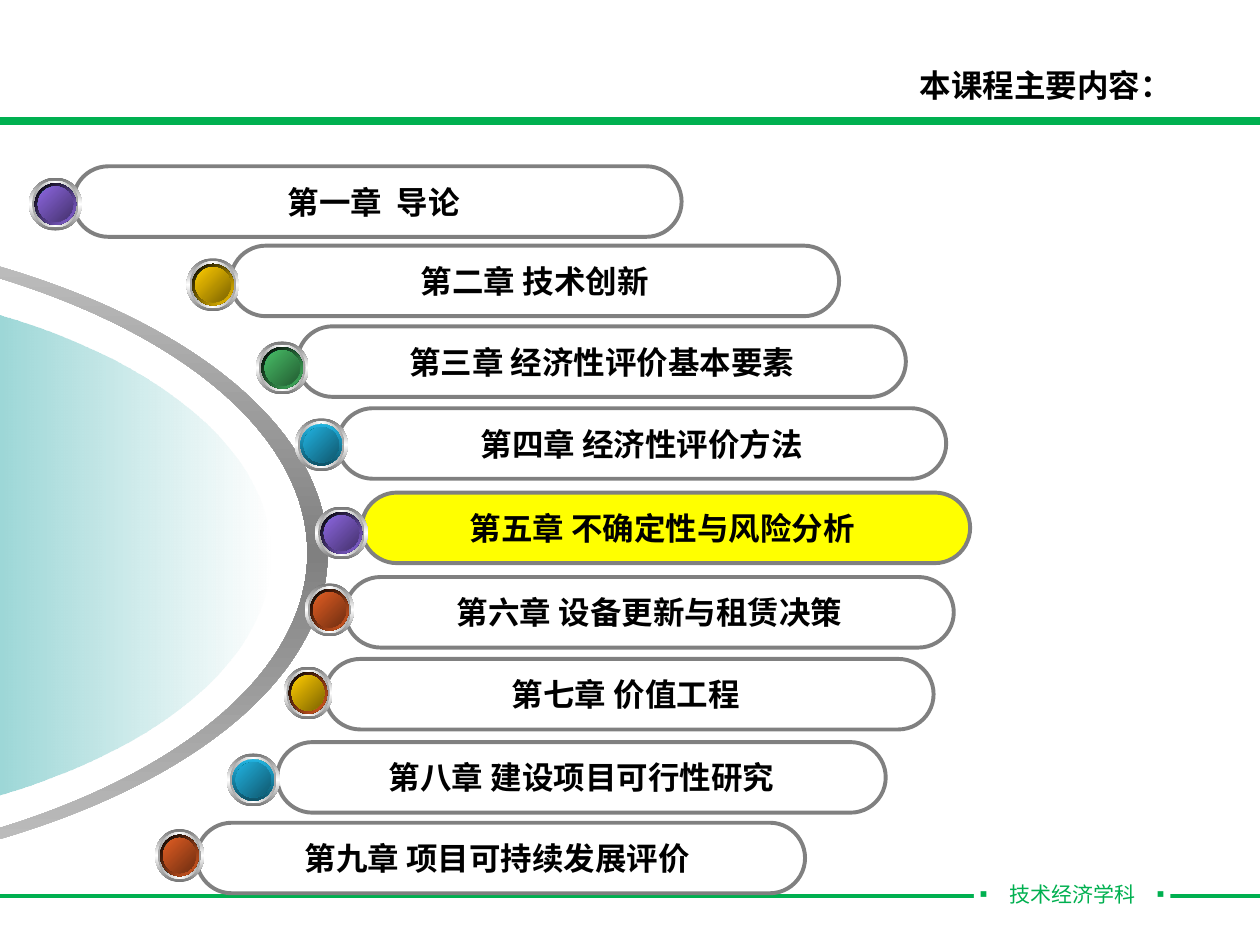
from lxml.etree import SubElement
from pptx import Presentation
from pptx.dml.color import RGBColor
from pptx.enum.shapes import MSO_CONNECTOR, MSO_SHAPE
from pptx.enum.text import MSO_ANCHOR, PP_ALIGN
from pptx.oxml.ns import qn
from pptx.util import Inches, Pt

GREEN, GRAY, BLACK, WHITE = "00B050", "808080", "000000", "FFFFFF"
SANS, SANS_JP, LATIN = "Noto Sans CJK SC", "Noto Sans CJK JP", "Arial"
PILL_WIDTH, PILL_HEIGHT = 4.83, 0.56
BEAD_HEIGHT = 0.42

# name: (rim gradient, rim angle, core gradient)
BEADS = {
    "purple": ((BLACK, "8D67E1"), 45, ("8D67E1", "45326D")),
    "yellow": ((BLACK, "FFCC00"), 45, ("FFCC00", "7C6300")),
    "green": ((BLACK, "48BE67"), 45, ("48BE67", "235C32")),
    "blue": (("21B3E1", "0F5368"), 90, ("21B3E1", "10576D")),
    "orange": ((BLACK, "E35E23"), 45, ("E35E23", "6E2E11")),
    "amber": ((BLACK, "E35E23"), 45, ("FFCC00", "7C6300")),
}

# text runs, pill left and top, bead left, top and width, bead name
CHAPTERS = [
    (["第一章  导论 "], 0.58, 1.32, 0.23, 1.41, 0.42, "purple"),
    (["第二章 技术创新"], 1.83, 1.95, 1.48, 2.05, 0.42, "yellow"),
    (["第三章 ", "经济性评价基本要素"], 2.36, 2.59, 2.03, 2.71, 0.42, "green"),
    (["第四章 ", "经济性评价方法"], 2.68, 3.24, 2.34, 3.32, 0.42, "blue"),
    (["第五章 ", "不确定性与风险分析 "], 2.87, 3.91, 2.5, 4.02, 0.42, "purple"),
    (["第六章 ", "设备更新与租赁决策"], 2.74, 4.58, 2.42, 4.63, 0.39, "orange"),
    (["第七章 价值工程 "], 2.58, 5.23, 2.25, 5.29, 0.39, "amber"),
    (["第八章 建设项目可行性研究"], 2.2, 5.89, 1.8, 5.98, 0.42, "blue"),
    (["第九章 项目可持续发展评价 "], 1.56, 6.53, 1.23, 6.58, 0.39, "orange"),
]
CURRENT_CHAPTER = "第五章 "


def color(value):
    return RGBColor.from_string(value)


def set_gradient(shape, colors, angle, opacities=None):
    """Fill with evenly spaced stops; the angle turns clockwise."""
    shape.fill.gradient()
    gradient = shape.element.spPr.find(qn("a:gradFill"))
    gradient.find(qn("a:lin")).set("ang", str(angle * 60000))
    stops = gradient.find(qn("a:gsLst"))
    stops.clear()
    for index, value in enumerate(colors):
        position = index * 100000 // (len(colors) - 1)
        stop = SubElement(stops, qn("a:gs"), pos=str(position))
        stop_color = SubElement(stop, qn("a:srgbClr"), val=value)
        if opacities:
            SubElement(stop_color, qn("a:alpha"), val=str(opacities[index] * 1000))


def set_font(run, size, font_name, value, bold=False):
    font = run.font
    font.size, font.name, font.bold = Pt(size), font_name, bold
    font.color.rgb = color(value)
    east_asian = SANS if font_name == LATIN else font_name
    SubElement(run._r.get_or_add_rPr(), qn("a:ea"), typeface=east_asian)


def add_shape(shapes, kind, left, top, width, height):
    shape = shapes.add_shape(kind, Inches(left), Inches(top), Inches(width), Inches(height))
    shape.shadow.inherit = False
    shape.fill.background()
    shape.line.fill.background()
    return shape


def add_title(slide, left, top, width, height):
    title = slide.shapes.title
    title.left, title.top = Inches(left), Inches(top)
    title.width, title.height = Inches(width), Inches(height)
    text_frame = title.text_frame
    text_frame.text = "本课程主要内容："
    text_frame.word_wrap = False
    text_frame.vertical_anchor = MSO_ANCHOR.MIDDLE
    paragraph = text_frame.paragraphs[0]
    paragraph.alignment = PP_ALIGN.LEFT
    set_font(paragraph.runs[0], 18, SANS_JP, BLACK, bold=True)


def add_frame(slide, width, bar_top, rule_top):
    """Green bar under the title and green rule with the department name."""
    bar = add_shape(slide.shapes, MSO_SHAPE.RECTANGLE, 0, bar_top, width, 0.04)
    bar.fill.solid()
    bar.fill.fore_color.rgb = color(GREEN)
    rule = slide.shapes.add_connector(
        MSO_CONNECTOR.STRAIGHT, 0, Inches(rule_top), Inches(width), Inches(rule_top))
    SubElement(rule.element.spPr, qn("a:effectLst"))
    for shape in (bar, rule):
        shape.line.color.rgb = color(GREEN)
        shape.line.width = Pt(2)

    label = add_shape(slide.shapes, MSO_SHAPE.RECTANGLE, 7.73, rule_top - 0.16, 1.56, 0.39)
    label.fill.solid()
    label.fill.fore_color.rgb = color(WHITE)
    text_frame = label.text_frame
    text_frame.margin_left = text_frame.margin_right = 0
    text_frame.word_wrap = False
    text_frame.vertical_anchor = MSO_ANCHOR.TOP
    paragraph = text_frame.paragraphs[0]
    paragraph.alignment = PP_ALIGN.LEFT
    tabs = SubElement(paragraph._p.get_or_add_pPr(), qn("a:tabLst"))
    for position in (0.28, 1.4):
        SubElement(tabs, qn("a:tab"), pos=str(Inches(position)), algn="l")
    for text, font_name in (("▪", LATIN), ("\t技术经济学科\t", SANS), ("▪", LATIN)):
        run = paragraph.add_run()
        run.text = text
        set_font(run, 12, font_name, GREEN)


def add_curved_outline(slide, points, straight=()):
    """Close an outline of Bezier curves; straight lists the points reached by a line."""
    corners = [(Inches(x), Inches(y)) for x, y in points]
    builder = slide.shapes.build_freeform(*corners[0])
    builder.add_line_segments(corners[1:], close=True)
    shape = builder.convert_to_shape()
    shape.shadow.inherit = False
    shape.line.fill.background()

    outline = next(shape.element.iter(qn("a:path" )))
    lines = outline.findall(qn("a:lnTo"))[:len(points) - 1]
    curved = [line for index, line in enumerate(lines, 1) if index not in straight]
    for start in range(0, len(curved), 3):
        controls = curved[start:start + 3]
        bezier = SubElement(outline, qn("a:cubicBezTo"))
        controls[0].addprevious(bezier)
        for line in controls:
            bezier.append(line[0])
            outline.remove(line)
    return shape


def add_dome(slide, left, middle):
    """Gray arc with a translucent teal half oval inside it."""
    arc = add_curved_outline(slide, [
        (left, middle - 2.56),
        (0.19, middle - 2.54), (2.44, middle - 1.4), (2.44, middle),
        (2.44, middle + 1.4), (0.19, middle + 2.54), (left, middle + 2.56),
        (left, middle + 2.64),
        (0.28, middle + 2.61), (2.6, middle + 1.44), (2.6, middle),
        (2.6, middle - 1.44), (0.28, middle - 2.62), (left, middle - 2.64),
    ], straight=(7,))
    set_gradient(arc, ("C5C5C5", GRAY, "C5C5C5"), 90)
    core_left, core_middle = left + 0.47, middle + 0.01
    core = add_curved_outline(slide, [
        (core_left, core_middle - 2.2),
        (0.22, core_middle - 2.2), (2.15, core_middle - 1.21), (2.15, core_middle),
        (2.15, core_middle + 1.22), (0.22, core_middle + 2.2), (core_left, core_middle + 2.2),
    ])
    set_gradient(core, ("009999", WHITE), 0, opacities=(56, 48))


def add_bead(shapes, left, top, width, name):
    rim, rim_angle, core = BEADS[name]
    layers = [
        (0.42, ("767676", WHITE, "767676"), 90),
        (0.37, ("A2A2A2", WHITE, "A2A2A2"), 0),
        (0.33, (WHITE, "009999", WHITE), 45),
        (0.33, rim, rim_angle),
        (0.28, ("005353", "009999", "005353"), 315),
        (0.28, core, 45),
    ]
    for size, colors, angle in layers:
        layer_width = width * size / BEAD_HEIGHT
        layer = add_shape(shapes, MSO_SHAPE.OVAL, left + (width - layer_width) / 2,
                          top + (BEAD_HEIGHT - size) / 2, layer_width, size)
        set_gradient(layer, colors, angle)


def add_pill(shapes, left, top, texts):
    pill = add_shape(shapes, MSO_SHAPE.ROUNDED_RECTANGLE, left, top, PILL_WIDTH, PILL_HEIGHT)
    pill.adjustments[0] = 0.5
    pill.line.color.rgb = color(GRAY)
    pill.line.width = Pt(2.25)
    if texts[0] == CURRENT_CHAPTER:
        pill.fill.solid()
        pill.fill.fore_color.rgb = color("FFFF00")
    pill.text_frame.word_wrap = False
    pill.text_frame.vertical_anchor = MSO_ANCHOR.MIDDLE
    paragraph = pill.text_frame.paragraphs[0]
    paragraph.alignment = PP_ALIGN.CENTER
    for text, font_name in zip(texts, (SANS, LATIN)):
        run = paragraph.add_run()
        run.text = text
        set_font(run, 18, font_name, BLACK, bold=True)


def main():
    presentation = Presentation()
    presentation.slide_width, presentation.slide_height = Inches(10), Inches(7.5)
    slide = presentation.slides.add_slide(presentation.slide_layouts[5])
    add_frame(slide, 10, 0.94, 7.11)
    add_title(slide, 7.2, 0.47, 2.2, 0.4)
    for _ in range(2):  # two translucent layers deepen the teal
        add_dome(slide, -2.62, 4.39)
    for texts, left, top, bead_left, bead_top, bead_width, bead in CHAPTERS:
        group = slide.shapes.add_group_shape()
        add_pill(group.shapes, left, top, texts)
        add_bead(group.shapes, bead_left, bead_top, bead_width, bead)
    presentation.save("out.pptx")


if __name__ == "__main__":
    main()
